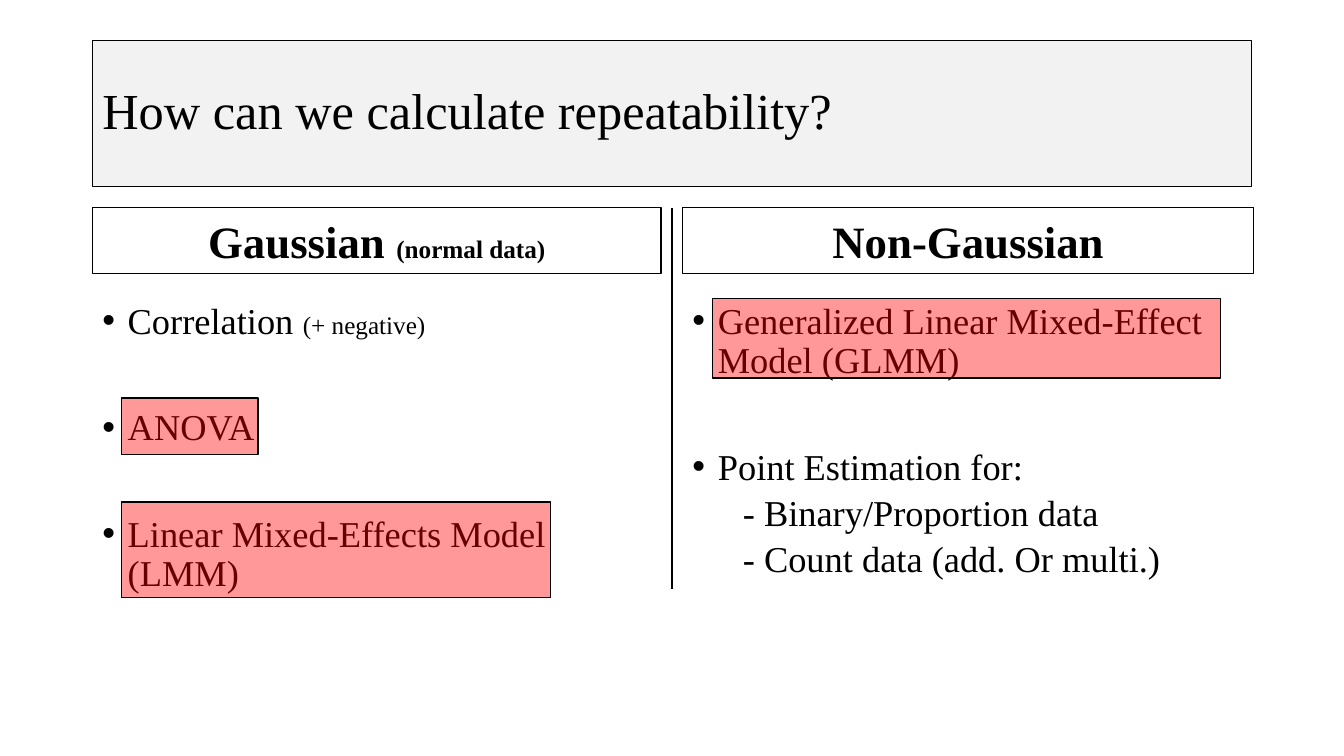
import pptx
import pptx.dml.color
import pptx.enum.shapes
import pptx.enum.text
import pptx.oxml
import pptx.oxml.ns
import pptx.util
from pptx.util import Cm, Pt

COLORS = {"ink": "000000", "paper": "FFFFFF", "title": "F2F2F2", "highlight": "FF0000"}
FONT = "Times New Roman"
ALIGN = pptx.enum.text.PP_ALIGN
ANCHOR = pptx.enum.text.MSO_ANCHOR

BULLET = {"left": 0.64, "hanging": 0.64, "bullet": True, "before": 10}
SPACED_BULLET = {**BULLET, "before": 48}
SUBITEM = {"left": 1.27, "hanging": 0, "bullet": False, "before": 5}

COLUMNS = [
    {
        "box": (2.33, 5.23, 14.33, 12.52),
        "heading": [("Gaussian ", 32), ("(normal data)", 18)],
        "items": [
            (BULLET, [("Correlation ", 26), ("(+ negative)", 18)]),
            (SPACED_BULLET, [("ANOVA", 26)]),
            (SPACED_BULLET, [("Linear Mixed-Effects Model (LMM)", 26)]),
        ],
        "highlights": [(0.74, 4.8, 3.43, 1.42), (0.74, 7.42, 10.8, 2.41)],
    },
    {
        "box": (17.2, 5.23, 14.4, 12.52),
        "heading": [("Non-Gaussian", 32)],
        "items": [
            (BULLET, [("Generalized Linear Mixed-Effect Model (GLMM)", 26)]),
            (SPACED_BULLET, [("Point Estimation for:", 26)]),
            (SUBITEM, [("- Binary/Proportion data", 26)]),
            (SUBITEM, [("- Count data (add. Or multi.)", 26)]),
        ],
        "highlights": [(0.76, 2.29, 12.8, 2.01)],
    },
]


def color(name):
    return pptx.dml.color.RGBColor.from_string(COLORS[name])


def apply_format(target, values):
    for name, value in values.items():
        setattr(target, name, value)


def write_runs(paragraph, runs, bold=False):
    paragraph.line_spacing = 0.9
    for text, size in runs:
        run = paragraph.add_run()
        run.text = text
        apply_format(run.font, {"name": FONT, "size": Pt(size), "bold": bold})
        run.font.color.rgb = color("ink")


def add_rectangle(slide, box, fill, line_width):
    shape = slide.shapes.add_shape(
        pptx.enum.shapes.MSO_SHAPE.RECTANGLE, *[Cm(length) for length in box])
    shape.shadow.inherit = False
    shape.fill.solid()
    shape.fill.fore_color.rgb = color(fill)
    shape.line.color.rgb = color("ink")
    shape.line.width = Pt(line_width)
    return shape


def add_panel(slide, box, fill, runs, anchor, alignment, bold=False):
    frame = add_rectangle(slide, box, fill, 0.75).text_frame
    apply_format(frame, {"word_wrap": True, "vertical_anchor": anchor})
    paragraph = frame.paragraphs[0]
    paragraph.alignment = alignment
    write_runs(paragraph, runs, bold)


def add_highlight(slide, box):
    shape = add_rectangle(slide, box, "highlight", 1)
    fill_color = shape.fill._xPr.find(".//" + pptx.oxml.ns.qn("a:srgbClr"))
    alpha = pptx.oxml.parse_xml(
        f'<a:alpha {pptx.oxml.ns.nsdecls("a")} val="40000"/>')
    fill_color.append(alpha)


def add_items(slide, box, items):
    frame = slide.shapes.add_textbox(*[Cm(length) for length in box]).text_frame
    frame.word_wrap = True
    for index, (style, runs) in enumerate(items):
        paragraph = frame.add_paragraph() if index else frame.paragraphs[0]
        paragraph.space_before = Pt(style["before"])
        write_runs(paragraph, runs)
        properties = paragraph._p.get_or_add_pPr()
        properties.set("marL", str(Cm(style["left"])))
        properties.set("indent", str(-Cm(style["hanging"])))
        if style["bullet"]:
            namespace = pptx.oxml.ns.nsdecls("a")
            properties.append(pptx.oxml.parse_xml(f'<a:buFont {namespace} typeface="Arial"/>'))
            properties.append(pptx.oxml.parse_xml(f'<a:buChar {namespace} char="•"/>'))


def add_column(slide, box, heading, items, highlights):
    left, top, width, height = box
    body_offset = 2.28
    add_panel(slide, (left, top, width, 1.66), "paper", heading,
              ANCHOR.BOTTOM, ALIGN.CENTER, bold=True)
    add_items(slide, (left, top + body_offset, width, height - body_offset), items)
    for x, y, highlight_width, highlight_height in highlights:
        add_highlight(slide, (left + x, top + y, highlight_width, highlight_height))


def add_divider(slide, x, top, height):
    connector = slide.shapes.add_connector(
        pptx.enum.shapes.MSO_CONNECTOR.STRAIGHT, Cm(x), Cm(top), Cm(x), Cm(top + height))
    connector.line.color.rgb = color("ink")
    connector.line.width = Pt(1.5)
    connector._element.spPr.append(
        pptx.oxml.parse_xml(f'<a:effectLst {pptx.oxml.ns.nsdecls("a")}/>'))


def main():
    presentation = pptx.Presentation()
    apply_format(presentation, {"slide_width": Cm(33.87), "slide_height": Cm(19.05)})
    slide = presentation.slides.add_slide(presentation.slide_layouts[6])
    add_panel(slide, (2.33, 1.02, 29.21, 3.68), "title",
              [("How can we calculate repeatability?", 36)], ANCHOR.MIDDLE, ALIGN.LEFT)
    for column in COLUMNS:
        add_column(slide, **column)
    add_divider(slide, 16.94, 5.23, 9.6)
    presentation.save("out.pptx")


if __name__ == "__main__":
    main()
